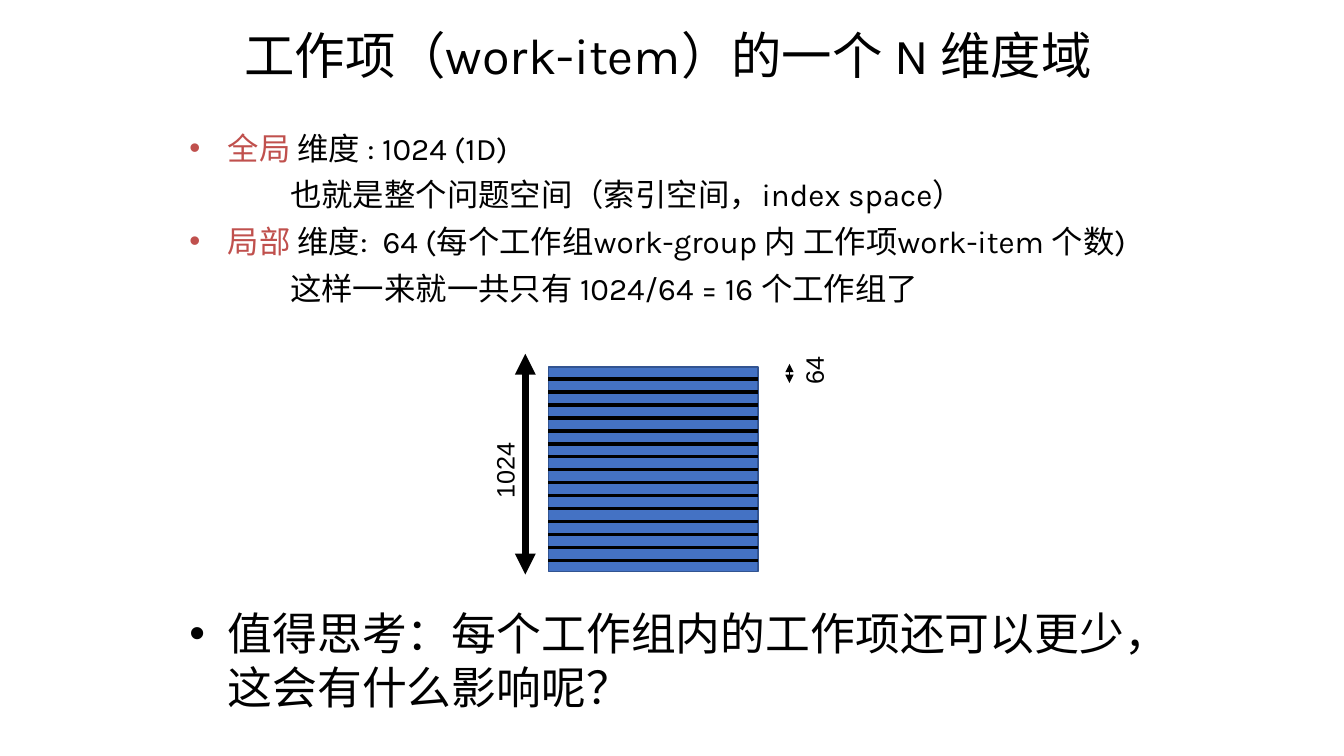
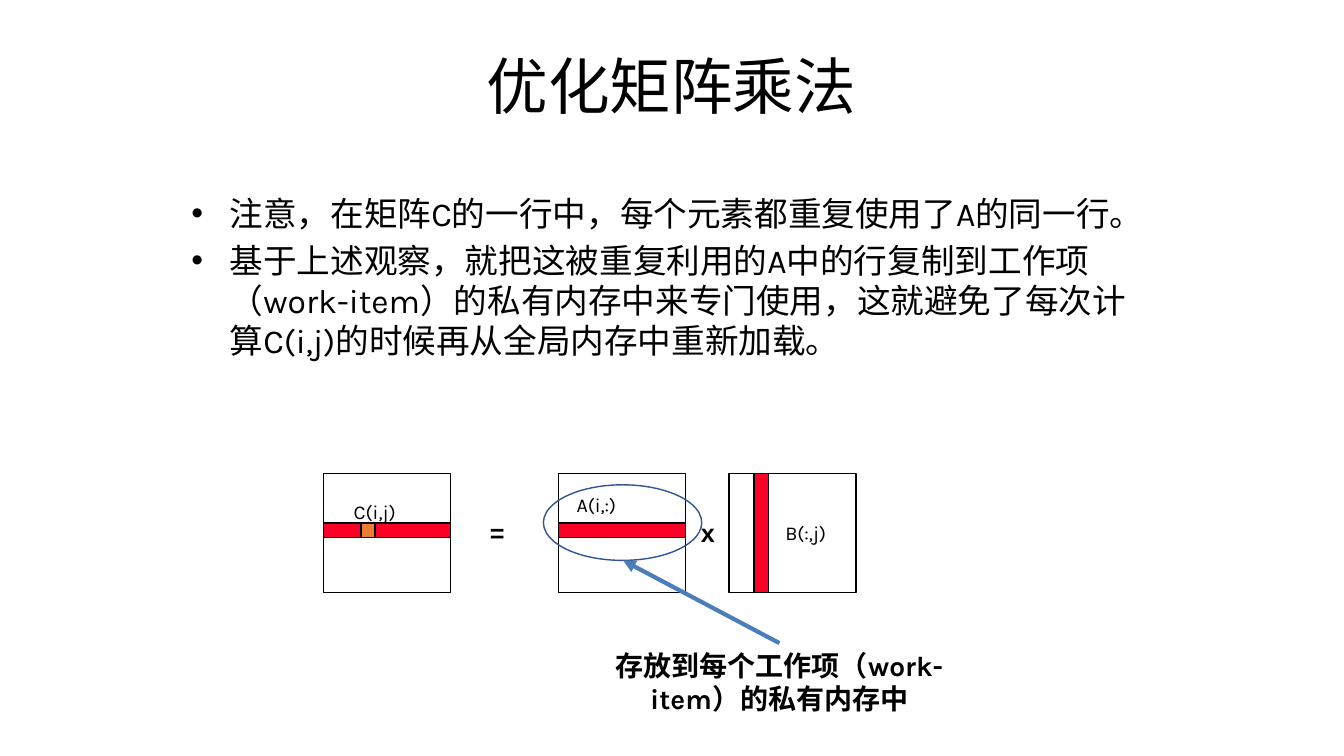
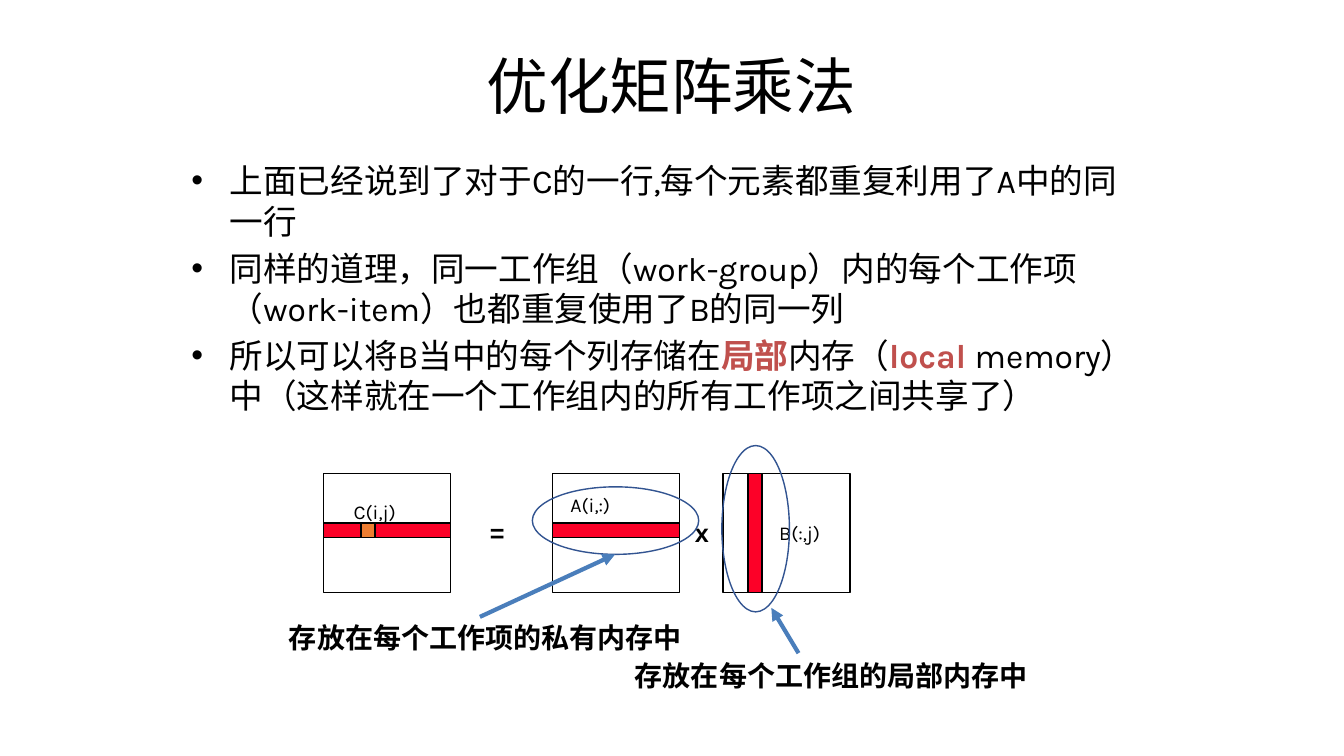
"""Build three slides on work-item domains and matrix multiplication."""
from lxml import etree
from pptx import Presentation
from pptx.dml.color import RGBColor
from pptx.enum.shapes import MSO_CONNECTOR, MSO_SHAPE
from pptx.enum.text import MSO_ANCHOR, MSO_AUTO_SIZE, PP_ALIGN
from pptx.oxml.ns import qn
from pptx.util import Inches, Pt

RECT, OVAL = MSO_SHAPE.RECTANGLE, MSO_SHAPE.OVAL
STRAIGHT = MSO_CONNECTOR.STRAIGHT
LEFT, CENTER = PP_ALIGN.LEFT, PP_ALIGN.CENTER
TOP, MIDDLE = MSO_ANCHOR.TOP, MSO_ANCHOR.MIDDLE
NO_FIT = MSO_AUTO_SIZE.NONE

BLACK = RGBColor(0x00, 0x00, 0x00)
ACCENT = RGBColor(0xC0, 0x50, 0x4D)
BLUE = RGBColor(0x44, 0x72, 0xC4)
NAVY = RGBColor(0x32, 0x54, 0x91)
STEEL = RGBColor(0x4A, 0x7E, 0xBB)
RED = RGBColor(0xFC, 0x01, 0x28)
ORANGE = RGBColor(0xED, 0x7D, 0x31)
FONT, LABEL_FONT = "Karla", "Arial"
BULLET, SUB = "bullet", "sub"
INDENT = 0.38

DOMAIN_TITLE = "工作项（work-item）的一个 N 维度域"
DOMAIN_BODY = [
    (BULLET, [("全局 ", ACCENT, False), ("维度 : 1024 (1D)", BLACK, False)]),
    (SUB, [("也就是整个问题空间（索引空间，index space）", BLACK, False)]),
    (BULLET, [("局部 ", ACCENT, False),
              ("维度:  64 (每个工作组work-group 内 工作项work-item 个数)", BLACK, False)]),
    (SUB, [("这样一来就一共只有 1024/64 = 16 个工作组了", BLACK, False)]),
]
DOMAIN_QUESTION = [
    (BULLET, [("值得思考：每个工作组内的工作项还可以更少，这会有什么影响呢？", BLACK, False)]),
]
GROUPS = 16
DOMAIN_BOX = (5.44, 3.64, 2.08, 2.03)
FIRST_CUT, LAST_CUT = 3.76, 5.56
DIMENSIONS = [
    ("1024", (4.71, 4.54, 0.59, 0.3), (5.21, 5.7, 5.21, 3.51), 5),
    ("64", (7.91, 3.54, 0.32, 0.3), (7.83, 3.8, 7.83, 3.61), 1),
]

MATRIX_TITLE = "优化矩阵乘法"
MATRIX_SLIDES = [
    {
        "body_box": (1.8, 1.86, 9.61, 2.36),
        "body": [
            (BULLET, [("注意，在矩阵C的一行中，每个元素都重复使用了A的同一行。", BLACK, False)]),
            (BULLET, [("基于上述观察，就把这被重复利用的A中的行复制到工作项（work-item）的"
                       "私有内存中来专门使用，这就避免了每次计算C(i,j)的时候再从全局内存中重新加载。",
                       BLACK, False)]),
        ],
        "a_left": 5.54,
        "callouts": [
            ("存放到每个工作项（work-item）的私有内存中", (5.93, 6.38, 3.6, 0.76),
             (5.39, 4.81, 1.57, 0.75), (7.73, 6.38, 6.18, 5.56)),
        ],
    },
    {
        "body_box": (1.8, 1.54, 9.69, 2.68),
        "body": [
            (BULLET, [("上面已经说到了对于C的一行,每个元素都重复利用了A中的同一行", BLACK, False)]),
            (BULLET, [("同样的道理，同一工作组（work-group）内的每个工作项（work-item）"
                       "也都重复使用了B的同一列", BLACK, False)]),
            (BULLET, [("所以可以将B当中的每个列存储在", BLACK, False),
                      ("局部", ACCENT, True), ("内存（", BLACK, False),
                      ("local ", ACCENT, True),
                      ("memory）中（这样就在一个工作组内的所有工作项之间共享了）", BLACK, False)]),
        ],
        "a_left": 5.48,
        "callouts": [
            ("存放在每个工作项的私有内存中", (2.75, 6.11, 4.13, 0.76),
             (5.28, 4.83, 1.65, 0.67), (4.76, 6.12, 6.1, 5.5)),
            ("存放在每个工作组的局部内存中", (6.12, 6.48, 4.25, 0.76),
             (7.16, 4.42, 0.67, 1.65), (7.92, 6.48, 7.65, 6.03)),
        ],
    },
]
MATRIX_W, MATRIX_H, MATRIX_TOP = 1.26, 1.18, 4.7
BAND, C_LEFT, A_TO_B = 0.14, 3.21, 1.69


def place(sp, box):
    sp.left, sp.top, sp.width, sp.height = map(Inches, box)


def add_run(p, text, size, color=BLACK, bold=False, font=FONT):
    r = p.add_run()
    r.text = text
    r.font.size, r.font.name, r.font.bold = Pt(size), font, bold
    r.font.color.rgb = color


def add_title(s, text, box, size):
    sp = s.shapes.title
    place(sp, box)
    tf = sp.text_frame
    tf.auto_size, tf.word_wrap, tf.vertical_anchor = NO_FIT, True, MIDDLE
    tf.paragraphs[0].alignment = CENTER
    add_run(tf.paragraphs[0], text, size)


def add_text_box(s, box, wrap=True):
    sp = s.shapes.add_textbox(*map(Inches, box))
    tf = sp.text_frame
    tf.auto_size, tf.word_wrap, tf.vertical_anchor = NO_FIT, wrap, TOP
    return sp


def add_label(s, text, box, size, font=FONT, bold=False, align=LEFT):
    p = add_text_box(s, box).text_frame.paragraphs[0]
    p.alignment = align
    add_run(p, text, size, font=font, bold=bold)


def add_body(s, box, paragraphs, size, gap):
    tf = add_text_box(s, box).text_frame
    for i, (kind, runs) in enumerate(paragraphs):
        p = tf.add_paragraph() if i else tf.paragraphs[0]
        if i:
            p.space_before = Pt(gap)
        pPr = p._p.get_or_add_pPr()
        if kind == BULLET:
            pPr.set("marL", str(Inches(INDENT)))
            pPr.set("indent", str(-Inches(INDENT)))
            clr = etree.SubElement(pPr, qn("a:buClr"))
            etree.SubElement(clr, qn("a:srgbClr"), val=str(runs[0][1]))
            etree.SubElement(pPr, qn("a:buFont"), typeface=LABEL_FONT)
            etree.SubElement(pPr, qn("a:buChar"), char="•")
        else:
            pPr.set("marL", str(Inches(1)))
        for text, color, bold in runs:
            add_run(p, text, size, color, bold)


def add_figure(s, kind, box, fill=None, line=BLACK):
    sp = s.shapes.add_shape(kind, *map(Inches, box))
    sp.shadow.inherit = False
    if fill is None:
        sp.fill.background()
    else:
        sp.fill.solid()
        sp.fill.fore_color.rgb = fill
    sp.line.color.rgb, sp.line.width = line, Pt(1)


def add_line(s, ends, width, color=BLACK, heads=()):
    cx = s.shapes.add_connector(STRAIGHT, *map(Inches, ends))
    cx.line.color.rgb, cx.line.width = color, Pt(width)
    ln = cx.line._get_or_add_ln()
    for head in heads:
        etree.SubElement(ln, qn(head), type="triangle")
    etree.SubElement(cx._element.spPr, qn("a:effectLst"))


def add_dimension(s, text, box, ends, width):
    add_line(s, ends, width, heads=("a:headEnd", "a:tailEnd"))
    sp = add_text_box(s, box, wrap=False)
    sp.rotation = 270
    tf = sp.text_frame
    tf.margin_left = tf.margin_right = tf.margin_top = tf.margin_bottom = 0
    p = tf.paragraphs[0]
    p._p.get_or_add_pPr().set("marL", str(Inches(0.04)))
    add_run(p, text, 18, font=LABEL_FONT)


def build_domain(s):
    add_title(s, DOMAIN_TITLE, (1.78, -0.01, 9.69, 1.09), 36)
    add_body(s, (1.78, 1.23, 9.69, 1.9), DOMAIN_BODY, 22.4, 6.4)
    add_body(s, (1.78, 5.96, 9.69, 1.34), DOMAIN_QUESTION, 32, 6.4)
    add_figure(s, RECT, DOMAIN_BOX, BLUE, NAVY)
    left, width = DOMAIN_BOX[0], DOMAIN_BOX[2]
    step = (LAST_CUT - FIRST_CUT) / (GROUPS - 2)
    for i in range(GROUPS - 1):
        y = FIRST_CUT + i * step
        add_line(s, (left, y, left + width, y), 2.5)
    for dimension in DIMENSIONS:
        add_dimension(s, *dimension)


def add_product(s, a_left):
    b_left, band_top = a_left + A_TO_B, MATRIX_TOP + 0.49
    for left in (C_LEFT, a_left, b_left):
        add_figure(s, RECT, (left, MATRIX_TOP, MATRIX_W, MATRIX_H))
    for left in (C_LEFT, a_left):
        add_figure(s, RECT, (left, band_top, MATRIX_W, BAND), RED)
    add_figure(s, RECT, (b_left + 0.25, MATRIX_TOP, BAND, MATRIX_H), RED)
    add_figure(s, RECT, (C_LEFT + 0.37, band_top, BAND, BAND), ORANGE)
    for text, x, y in (("C(i,j)", C_LEFT + 0.2, 4.91), ("A(i,:)", a_left + 0.08, 4.84),
                       ("B(:,j)", b_left + 0.46, 5.12)):
        add_label(s, text, (x, y, 0.74, 0.33), 14)
    for text, x, width in (("=", 4.76, 0.59), ("x", a_left + 1.33, 0.18)):
        add_label(s, text, (x, 5.08, width, 0.4), 18, LABEL_FONT, True)


def build_matrix(s, content):
    add_title(s, MATRIX_TITLE, (1.78, 0.22, 9.76, 1.25), 44)
    add_body(s, content["body_box"], content["body"], 24, 4.8)
    add_product(s, content["a_left"])
    for text, box, ring, arrow in content["callouts"]:
        add_label(s, text, box, 20, bold=True, align=CENTER)
        add_figure(s, OVAL, ring, line=NAVY)
        add_line(s, arrow, 3, STEEL, ("a:tailEnd",))


def main():
    prs = Presentation()
    prs.slide_width, prs.slide_height = Inches(13.33), Inches(7.5)
    layout = prs.slide_layouts[5]
    build_domain(prs.slides.add_slide(layout))
    for content in MATRIX_SLIDES:
        build_matrix(prs.slides.add_slide(layout), content)
    prs.save("out.pptx")


if __name__ == "__main__":
    main()
